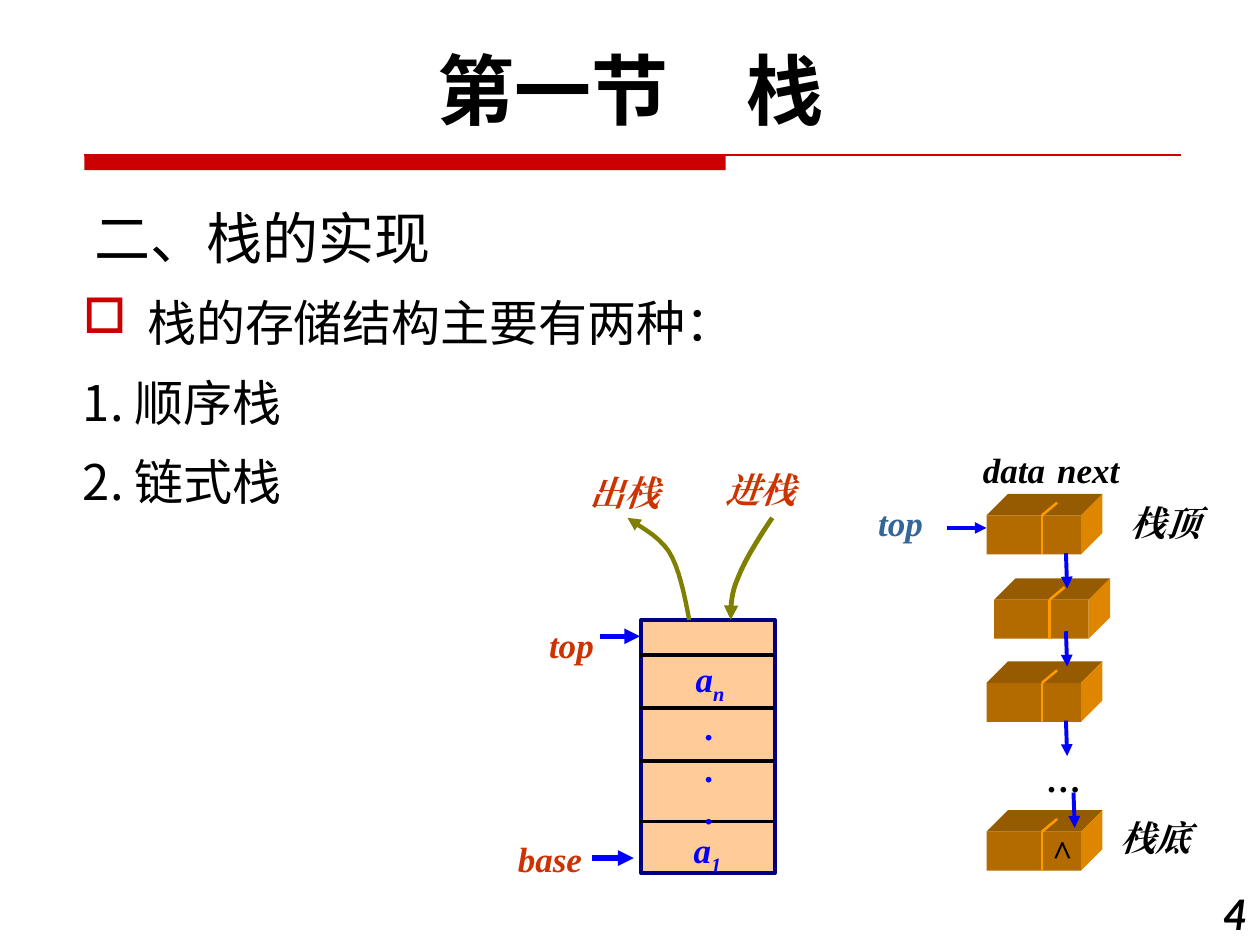
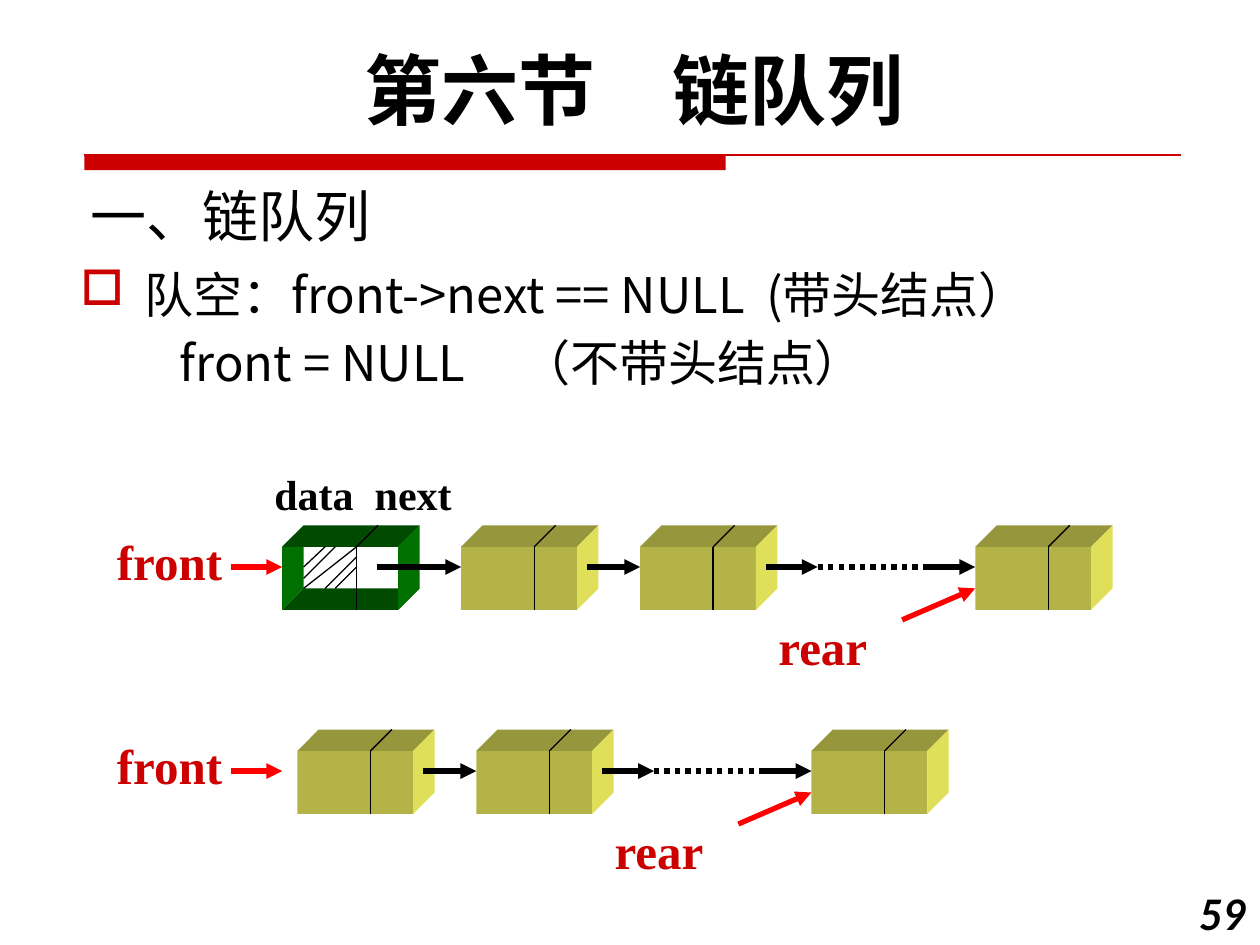
from pptx import Presentation
from pptx.dml.color import RGBColor
from pptx.enum import dml, shapes, text
from pptx.oxml import ns, xmlchemy
from pptx.util import Inches, Pt

BLACK = RGBColor(0, 0, 0)
WHITE = RGBColor(0xFF, 0xFF, 0xFF)
RED = RGBColor(0xCC, 0, 0)
BRIGHT_RED = RGBColor(0xFF, 0, 0)
RUST = RGBColor(0xCC, 0x33, 0)
BLUE = RGBColor(0, 0, 0xFF)
STEEL = RGBColor(0x33, 0x66, 0x99)
NAVY = RGBColor(0, 0, 0x80)
OLIVE = RGBColor(0x80, 0x80, 0)
PEACH = RGBColor(0xFF, 0xCC, 0x99)
ORANGE = RGBColor(0xFF, 0x99, 0)
# Faces of a block: front, top, side
AMBER_FACES = [RGBColor(0xB3, 0x6B, 0), RGBColor(0x96, 0x5A, 0),
               RGBColor(0xDF, 0x86, 0)]
YELLOW_FACES = [RGBColor(0xB3, 0xB3, 0x47), RGBColor(0x96, 0x96, 0x3C),
                RGBColor(0xDF, 0xDF, 0x59)]
DARK_GREEN = RGBColor(0, 0x4B, 0)
GREEN = RGBColor(0, 0x70, 0)

SANS, HEADING, SERIF = "Noto Sans CJK SC", "Lato", "Times New Roman"
LEFT, CENTER, RIGHT = (text.PP_ALIGN.LEFT, text.PP_ALIGN.CENTER,
                       text.PP_ALIGN.RIGHT)
DEPTH = 0.17


# ---- Text ----
def add_run(paragraph, words, size, font=SERIF, color=BLACK, bold=False,
            italic=False, baseline=0):
    run = paragraph.add_run()
    run.text = words
    run.font.size = Pt(size)
    run.font.name = font
    run.font.bold = bold
    run.font.italic = italic
    run.font.color.rgb = color
    properties = run.font._element
    if baseline:
        properties.set("baseline", str(baseline * 1000))
    east_asian = xmlchemy.OxmlElement("a:ea")
    east_asian.set("typeface", font)
    properties.find(ns.qn("a:latin")).addnext(east_asian)


def add_frame(slide, left, top, width, height, wrap=True, inset=0.1,
              anchor=text.MSO_ANCHOR.TOP):
    frame = slide.shapes.add_textbox(Inches(left), Inches(top), Inches(width),
                                     Inches(height)).text_frame
    frame.word_wrap = wrap
    frame.margin_left = frame.margin_right = Inches(inset)
    frame.vertical_anchor = anchor
    return frame


def add_label(slide, words, box, size=20, align=LEFT, inset=0.1, **style):
    """One-line label; box is left, top, width, height."""
    paragraph = add_frame(slide, *box, wrap=False,
                          inset=inset).paragraphs[0]
    paragraph.alignment = align
    add_run(paragraph, words, size, **style)


def add_element(paragraph, tag, **attributes):
    element = xmlchemy.OxmlElement(tag)
    for key, value in attributes.items():
        element.set(key, value)
    paragraph._p.get_or_add_pPr().append(element)
    return element


def set_indent(paragraph, margin, first_line):
    properties = paragraph._p.get_or_add_pPr()
    properties.set("marL", str(Inches(margin)))
    properties.set("indent", str(Inches(first_line)))


def add_bullet(paragraph):
    color = add_element(paragraph, "a:buClr")
    value = xmlchemy.OxmlElement("a:srgbClr")
    value.set("val", str(RED))
    color.append(value)
    add_element(paragraph, "a:buChar", char="□")


# ---- Lines and outlines ----
def add_arrowhead(line_format, end):
    head = xmlchemy.OxmlElement(f"a:{end}")
    head.set("type", "triangle")
    line_format._get_or_add_ln().append(head)


def add_line(slide, start, end, color=BLACK, weight=0.75, arrow=False,
             dotted=False):
    line = slide.shapes.add_connector(
        shapes.MSO_CONNECTOR.STRAIGHT, *map(Inches, (*start, *end)))
    line._element.spPr.append(xmlchemy.OxmlElement("a:effectLst"))
    line.line.color.rgb = color
    line.line.width = Pt(weight)
    if dotted:
        line.line.dash_style = dml.MSO_LINE.ROUND_DOT
    if arrow:
        add_arrowhead(line.line, "tailEnd")


def add_outline(slide, points, closed=True):
    points = [(Inches(x), Inches(y)) for x, y in points]
    builder = slide.shapes.build_freeform(*points[0], scale=1.0)
    builder.add_line_segments(points[1:], close=closed)
    outline = builder.convert_to_shape()
    outline.shadow.inherit = False
    return outline


def add_face(slide, points, color):
    face = add_outline(slide, points)
    face.fill.solid()
    face.fill.fore_color.rgb = color
    face.line.fill.background()


def add_curve(slide, start, curves, weight, arrow_end):
    """Olive curve through cubic pieces, each two controls and an end."""
    points = [start]
    for control_1, control_2, end in curves:
        origin = points[-1]
        for step in range(1, 9):
            t = step / 8
            weights = ((1 - t) ** 3, 3 * t * (1 - t) ** 2,
                       3 * t * t * (1 - t), t ** 3)
            knots = (origin, control_1, control_2, end)
            points.append(tuple(sum(w * knot[axis]
                                    for w, knot in zip(weights, knots))
                                for axis in (0, 1)))
    curve = add_outline(slide, points, closed=False)
    curve.fill.background()
    curve.line.color.rgb = OLIVE
    curve.line.width = Pt(weight)
    add_arrowhead(curve.line, arrow_end)


def add_rect(slide, left, top, width, height, fill):
    rect = slide.shapes.add_shape(
        shapes.MSO_SHAPE.RECTANGLE, *map(Inches, (left, top, width, height)))
    rect.shadow.inherit = False
    rect.fill.solid()
    rect.fill.fore_color.rgb = fill
    rect.line.fill.background()
    return rect


# ---- List nodes ----
def add_block(slide, x, y, width, height, faces):
    front, top, side = faces
    right, bottom = x + width, y + height
    add_rect(slide, x, y, width, height, front)
    add_face(slide, [(x, y), (x + DEPTH, y - DEPTH),
                     (right + DEPTH, y - DEPTH), (right, y)], top)
    add_face(slide, [(right, y), (right + DEPTH, y - DEPTH),
                     (right + DEPTH, bottom - DEPTH), (right, bottom)], side)


def add_divider(slide, x, y, height, slant, color=BLACK, weight=0.75):
    add_line(slide, (x, y), (x, y + height), color, weight)
    add_line(slide, (x, y), (x + slant[0], y - slant[1]), color, weight)


def add_stack_node(slide, x, y):
    add_block(slide, x, y, 0.75, 0.31, AMBER_FACES)
    add_divider(slide, x + 0.44, y, 0.31, (0.12, 0.1), ORANGE, 1.5)


def add_queue_node(slide, x, y):
    add_block(slide, x, y, 0.92, 0.5, YELLOW_FACES)
    add_divider(slide, x + 0.58, y, 0.5, (DEPTH, DEPTH))


def add_head_node(slide, x, y):
    """Open box whose data field is hatched."""
    right, bottom = x + 0.92, y + 0.5
    add_rect(slide, x + DEPTH, y, 0.75, 0.33, WHITE)
    for edge_start, edge_end, color in (
            ((x, y), (x, bottom), GREEN),
            ((x, bottom), (right, bottom), DARK_GREEN),
            ((x, y), (right, y), DARK_GREEN),
            ((right, y), (right, bottom), GREEN)):
        back = [(px + DEPTH, py - DEPTH) for px, py in (edge_end, edge_start)]
        add_face(slide, [edge_start, edge_end, *back], color)
    add_divider(slide, x + 0.59, y, 0.5, (DEPTH, DEPTH))
    for x1, y1, x2, y2 in ((0.42, 0, 0.17, 0.25), (0.59, 0.08, 0.34, 0.33),
                           (0.59, 0, 0.17, 0.33), (0.59, 0.16, 0.42, 0.33),
                           (0.34, 0, 0.17, 0.16)):
        add_line(slide, (x + x1, y + y1), (x + x2, y + y2))


def add_queue(slide, x, y):
    """Chain of three nodes from x, with its front and rear pointers."""
    middle = y + 0.16
    second, last = x + 1.42, x + 4.08
    for node_x in (x, second, last):
        add_queue_node(slide, node_x, y)
    for start, end in ((second - 0.42, second), (second + 1, second + 1.41),
                       (last - 0.41, last)):
        add_line(slide, (start, middle), (end, middle), BLACK, 3, arrow=True)
    add_line(slide, (second + 1.41, middle), (last - 0.41, middle), BLACK, 3,
             dotted=True)
    add_line(slide, (1.83, middle), (2.24, middle), BRIGHT_RED, 3, arrow=True)
    add_line(slide, (last - 0.58, y + 0.58), (last, y + 0.33), BRIGHT_RED, 3,
             arrow=True)
    pointer = dict(size=28, color=RED, bold=True)
    add_label(slide, "front", (0.83, y - 0.17, 1.05, 0.57), **pointer)
    add_label(slide, "rear", (second + 1, y + 0.5, 0.91, 0.57), **pointer)


# ---- Slides ----
def add_base(deck, title, title_left, section, section_at, number):
    """Slide with title, red band, section heading and page number."""
    slide = deck.slides.add_slide(deck.slide_layouts[6])
    add_rect(slide, 0.67, 1.23, 5.09, 0.12, RED)
    add_line(slide, (0.67, 1.23), (9.37, 1.23), RED)
    heading = add_frame(slide, title_left, 0.29, 9.25, 0.84).paragraphs[0]
    heading.alignment = CENTER
    add_run(heading, title, 44, HEADING, bold=True)
    frame = add_frame(slide, *section_at, 6.25, 0.75,
                      anchor=text.MSO_ANCHOR.BOTTOM)
    add_run(frame.paragraphs[0], section, 32, SANS)
    page = add_frame(slide, 9.33, 7, 0.67, 0.5).paragraphs[0]
    page.alignment = RIGHT
    add_run(page, number, 24, HEADING, bold=True, italic=True)
    return slide


def add_stack_array(slide):
    label = dict(color=RUST, bold=True, italic=True, align=CENTER)
    item = dict(size=20, color=BLUE, bold=True, italic=True)
    store = add_rect(slide, 5.09, 4.92, 1.06, 2.01, PEACH)
    store.line.color.rgb = NAVY
    store.line.width = Pt(2.25)
    for y in (5.2, 5.62, 6.04, 6.52):
        add_line(slide, (5.08, y), (6.14, y), BLACK, 2.25)

    bottom_item = add_frame(slide, 5.4, 6.53, 0.43, 0.43, wrap=False)
    items = add_frame(slide, 5.36, 5.17, 0.55, 1.78)
    for paragraph, index in ((bottom_item.paragraphs[0], "1"),
                             (items.paragraphs[0], "n")):
        paragraph.alignment = CENTER
        add_run(paragraph, "a", **item)
        add_run(paragraph, index, baseline=-25, **item)
    for _ in range(3):
        paragraph = items.add_paragraph()
        paragraph.alignment = CENTER
        add_run(paragraph, ".", **item)

    add_line(slide, (4.76, 5.05), (5.08, 5.05), BLUE, 3, arrow=True)
    add_line(slide, (4.7, 6.81), (5.03, 6.81), BLUE, 3, arrow=True)
    add_curve(slide, (5.47, 4.92),
              [((5.43, 4.71), (5.39, 4.51), (5.31, 4.38)),
               ((5.22, 4.24), (5.04, 4.16), (4.98, 4.11))], 2.5, "tailEnd")
    add_curve(slide, (5.8, 4.92),
              [((5.8, 4.82), (5.8, 4.71), (5.86, 4.58)),
               ((5.91, 4.44), (6.08, 4.18), (6.13, 4.11))], 2.75, "headEnd")
    for words, box in (("top", (4.24, 4.9, 0.59, 0.43)),
                       ("base", (4, 6.6, 0.73, 0.43)),
                       ("进栈", (5.66, 3.67, 0.76, 0.43)),
                       ("出栈", (4.58, 3.69, 0.76, 0.43))):
        add_label(slide, words, box, **label)


def add_linked_stack(slide):
    for x, y in ((7.83, 4.09), (7.89, 4.76), (7.83, 5.42), (7.83, 6.6)):
        add_stack_node(slide, x, y)
    add_line(slide, (7.52, 4.19), (7.83, 4.19), BLUE, 2.25, arrow=True)
    for x, y in ((8.46, 4.39), (8.46, 5.01), (8.46, 5.72), (8.52, 6.29)):
        add_line(slide, (x, y), (x + 0.01, y + 0.28), BLUE, 2.25, arrow=True)
    for words, x, y, width, color in (
            ("top", 6.97, 3.93, 0.39, STEEL), ("data", 7.8, 3.51, 0.56, BLACK),
            ("next", 8.39, 3.51, 0.68, BLACK), ("…", 8.31, 5.96, 0.28, BLACK),
            ("^", 8.35, 6.54, 0.19, BLACK), ("栈底", 8.89, 6.43, 0.64, BLACK),
            ("栈顶", 8.97, 3.93, 0.64, BLACK)):
        add_label(slide, words, (x, y, width, 0.43), inset=0, color=color,
                  bold=True, italic=True)


def build_stack_slide(deck):
    slide = add_base(deck, "第一节　栈", 0.38, "二、栈的实现", (0.65, 1.45), "4")
    kinds = add_frame(slide, 0.56, 2.27, 5.75, 4.25)
    for row, words in enumerate(("栈的存储结构主要有两种：", "1. 顺序栈",
                                 "2. 链式栈")):
        paragraph = kinds.add_paragraph() if row else kinds.paragraphs[0]
        set_indent(paragraph, 0.51, -0.51)
        if row:
            paragraph.space_before = Pt(12)
        else:
            add_bullet(paragraph)
        add_run(paragraph, words, 28, SANS)
    add_stack_array(slide)
    add_linked_stack(slide)


def build_queue_slide(deck):
    slide = add_base(deck, "第六节　链队列", 0.41, "一、链队列", (0.62, 1.27), "59")
    conditions = add_frame(slide, 0.54, 2.1, 9.4, 4.42)
    with_head = conditions.paragraphs[0]
    set_indent(with_head, 0.51, -0.51)
    add_bullet(with_head)
    add_run(with_head, "队空：front->next == NULL  (带头结点）", 28, SANS)
    without_head = conditions.add_paragraph()
    set_indent(without_head, 0, 0.79)
    stops = add_element(without_head, "a:tabLst")
    stop = xmlchemy.OxmlElement("a:tab")
    stop.set("pos", str(Inches(3.49)))
    stop.set("algn", "l")
    stops.append(stop)
    without_head.space_before = Pt(8.6)
    add_run(without_head, "front = NULL\t（不带头结点）", 28, SANS)
    for paragraph in conditions.paragraphs:
        paragraph.line_spacing = 0.9

    # Queue with a head node, then without one
    add_label(slide, "data  next", (2.08, 3.67, 1.83, 0.5), 24, bold=True)
    add_head_node(slide, 2.24, 4.34)
    add_queue(slide, 3.66, 4.34)
    add_line(slide, (2.99, 4.5), (3.66, 4.5), BLACK, 3, arrow=True)
    add_queue(slide, 2.36, 5.96)


def main():
    deck = Presentation()
    deck.slide_width, deck.slide_height = Inches(10), Inches(7.5)
    build_stack_slide(deck)
    build_queue_slide(deck)
    deck.save("out.pptx")


if __name__ == "__main__":
    main()
